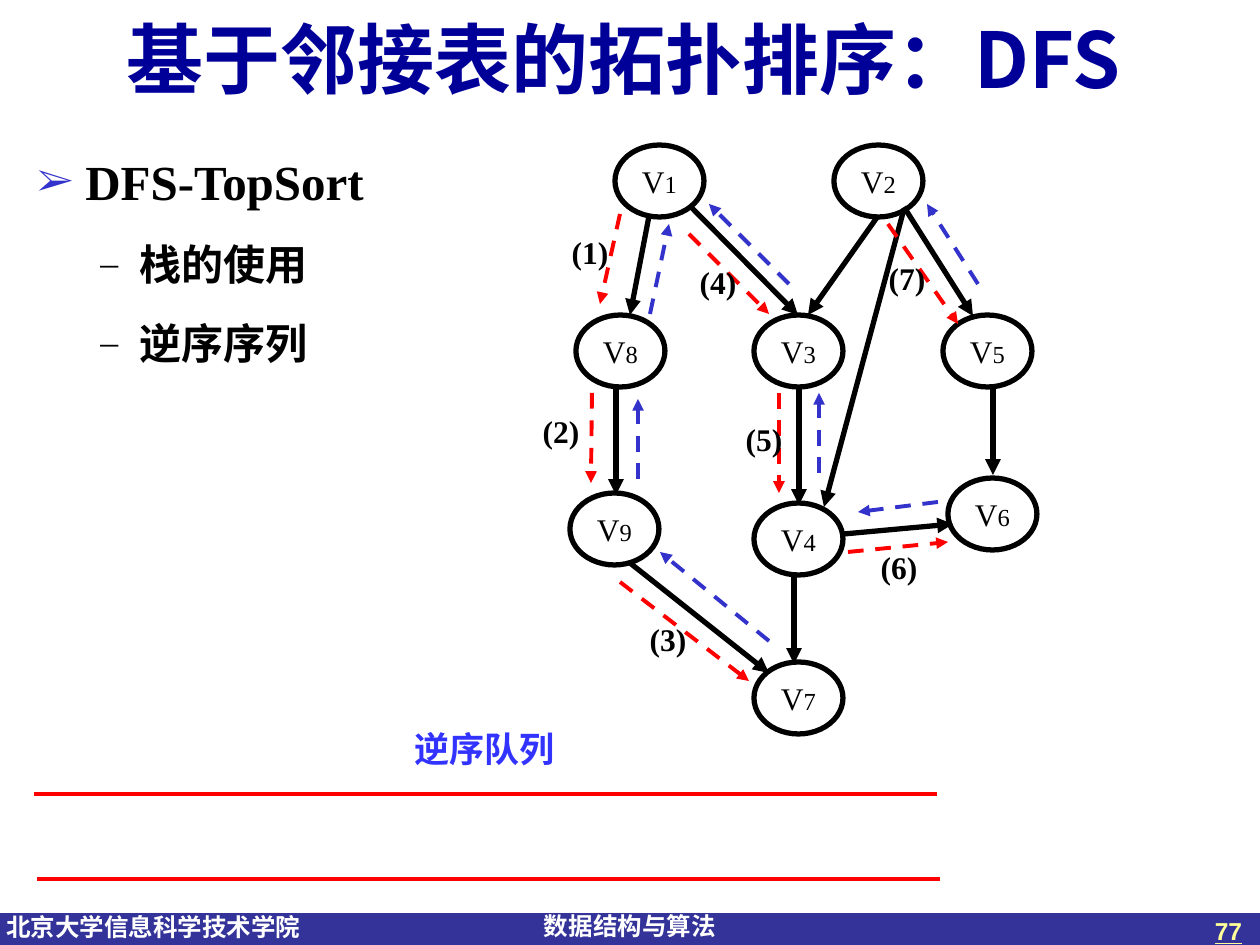
from lxml import etree
from pptx import Presentation
from pptx import util as u
from pptx.dml.color import RGBColor
from pptx.enum import dml, shapes, text
from pptx.oxml import ns

SCALE = 914400 / 126
COLORS = {
    "black": "000000", "white": "FFFFFF", "red": "FF0000", "blue": "3333CC",
    "navy": "000099", "bar": "333399", "caption": "3333FF", "yellow": "FFFF99",
}
SERIF, SANS, CJK = "Times New Roman", "Arial", "Noto Sans CJK SC"
ALIGN = text.PP_ALIGN
MIDDLE = text.MSO_ANCHOR.MIDDLE


def px(length):
    return u.Emu(round(length * SCALE))


def color(name):
    return RGBColor.from_string(COLORS[name])


def add_element(parent, tag, **attributes):
    return etree.SubElement(parent, ns.qn(tag), attributes)


def add_run(paragraph, content, size=18, font=SERIF, ink="black", bold=True, underline=None):
    run = paragraph.add_run()
    run.text = content
    run.font.size = u.Pt(size)
    run.font.name = font
    run.font.bold = bold
    run.font.underline = underline
    run.font.color.rgb = color(ink)
    add_element(run.font._element, "a:ea", typeface=CJK)


class SlideBuilder:
    def __init__(self, slide):
        self.slide = slide

    def place(self, shape, left, top, width, height):
        shape.left, shape.top = px(left), px(top)
        shape.width, shape.height = px(width), px(height)

    def title(self, box, content, **style):
        shape = self.slide.shapes.title
        self.place(shape, *box)
        frame = shape.text_frame
        frame.auto_size = text.MSO_AUTO_SIZE.NONE
        frame.vertical_anchor = MIDDLE
        frame.margin_left, frame.margin_right = px(25), px(38)
        frame.paragraphs[0].alignment = ALIGN.CENTER
        add_run(frame.paragraphs[0], content, **style)

    def bar(self, box):
        shape = self.slide.shapes.add_shape(shapes.MSO_SHAPE.RECTANGLE, *map(px, box))
        shape.shadow.inherit = False
        shape.fill.solid()
        shape.fill.fore_color.rgb = color("bar")
        shape.line.fill.background()

    def label(self, box, content, align=ALIGN.CENTER, margin=13, **style):
        frame = self.slide.shapes.add_textbox(*map(px, box)).text_frame
        frame.word_wrap = True
        frame.margin_left = frame.margin_right = px(margin)
        frame.paragraphs[0].alignment = align
        add_run(frame.paragraphs[0], content, **style)

    def bullets(self, box, items):
        frame = self.slide.shapes.add_textbox(*map(px, box)).text_frame
        frame.word_wrap = True
        for index, (level, content) in enumerate(items):
            paragraph = frame.add_paragraph() if index else frame.paragraphs[0]
            mark, ink, percent, indent, hanging, size = (
                ("–", "black", "85000", 102, 39, 24) if level
                else ("➢", "blue", "80000", 48, 48, 28))
            paragraph.level = level
            paragraph.line_spacing = 1.35
            paragraph.space_before = u.Pt(6 if index else 0)
            properties = paragraph._p.get_or_add_pPr()
            properties.set("marL", str(px(indent)))
            properties.set("indent", str(-px(hanging)))
            add_element(add_element(properties, "a:buClr"), "a:srgbClr", val=COLORS[ink])
            add_element(properties, "a:buSzPct", val=percent)
            add_element(properties, "a:buFont", typeface=SERIF)
            add_element(properties, "a:buChar", char=mark)
            add_run(paragraph, content, size=size)

    def vertex(self, number, left, top):
        shape = self.slide.shapes.add_shape(
            shapes.MSO_SHAPE.OVAL, px(left), px(top), px(89), px(72))
        shape.shadow.inherit = False
        shape.fill.background()
        shape.line.color.rgb = color("black")
        shape.line.width = u.Pt(3)
        frame = shape.text_frame
        frame.vertical_anchor = MIDDLE
        paragraph = frame.paragraphs[0]
        paragraph.alignment = ALIGN.CENTER
        add_run(paragraph, "V", bold=False)
        add_run(paragraph, str(number), size=14, bold=False)

    def line(self, ends, ink="black", width=3, dashed=False, arrow=True):
        connector = self.slide.shapes.add_connector(
            shapes.MSO_CONNECTOR.STRAIGHT, *map(px, ends))
        connector.line.color.rgb = color(ink)
        connector.line.width = u.Pt(width)
        if dashed:
            connector.line.dash_style = dml.MSO_LINE.DASH
        if arrow:
            add_element(connector.line._get_or_add_ln(), "a:tailEnd", type="triangle")
        add_element(connector._element.spPr, "a:effectLst")


VERTICES = {
    1: (615, 145), 2: (834, 145), 8: (576, 315), 3: (754, 315), 5: (943, 315),
    9: (570, 493), 4: (754, 503), 6: (948, 478), 7: (754, 662),
}
EDGES = [
    (690, 206, 798, 315), (878, 216, 808, 315), (904, 207, 973, 316),
    (993, 386, 993, 475), (649, 216, 630, 315), (616, 386, 616, 495),
    (799, 387, 799, 505), (904, 209, 824, 507), (844, 534, 953, 524),
    (630, 563, 769, 673), (794, 575, 794, 664),
]
VISITS = [
    ((620, 214, 600, 304), (559, 227)),
    ((592, 393, 591, 483), (530, 406)),
    ((620, 582, 749, 681), (637, 614)),
    ((689, 234, 769, 314), (687, 257)),
    ((779, 393, 779, 493), (733, 414)),
    ((848, 552, 948, 542), (868, 542)),
    ((888, 224, 958, 324), (876, 253)),
]
RETURNS = [
    (769, 641, 660, 552), (638, 479, 638, 399), (650, 314, 669, 224),
    (938, 502, 858, 512), (819, 473, 819, 393), (789, 284, 709, 204),
    (978, 284, 927, 204),
]


def main():
    presentation = Presentation()
    presentation.slide_width, presentation.slide_height = px(1260), px(945)
    builder = SlideBuilder(presentation.slides.add_slide(presentation.slide_layouts[5]))

    builder.bar((0, 913, 1260, 32))
    footer = dict(size=14, font=SANS)
    for box, content in (((6, 906, 307, 43), "北京大学信息科学技术学院"),
                         ((544, 905, 184, 43), "数据结构与算法")):
        builder.label(box, content, align=ALIGN.LEFT, margin=0, ink="white", **footer)
    builder.label((961, 910, 294, 65), "77", align=ALIGN.RIGHT,
                  ink="yellow", underline=True, **footer)

    builder.title((0, 0, 1260, 115), "基于邻接表的拓扑排序：DFS", size=44, font=CJK, ink="navy")
    builder.bullets((25, 125, 595, 764),
                    [(0, "DFS-TopSort"), (1, "栈的使用"), (1, "逆序序列")])
    builder.label((342, 721, 286, 55), "逆序队列", size=20, font=SANS, ink="caption")

    for number, position in VERTICES.items():
        builder.vertex(number, *position)
    for ends in EDGES:
        builder.line(ends)
    for left, top in ((34, 794), (37, 879)):
        builder.line((left, top, left + 903, top), ink="red", width=2.25, arrow=False)
    for step, (ends, position) in enumerate(VISITS, 1):
        builder.line(ends, ink="red", width=2.25, dashed=True)
        builder.label((*position, 62, 50), f"({step})", margin=4)
    for ends in RETURNS:
        builder.line(ends, ink="blue", width=2.25, dashed=True)

    presentation.save("out.pptx")


if __name__ == "__main__":
    main()
